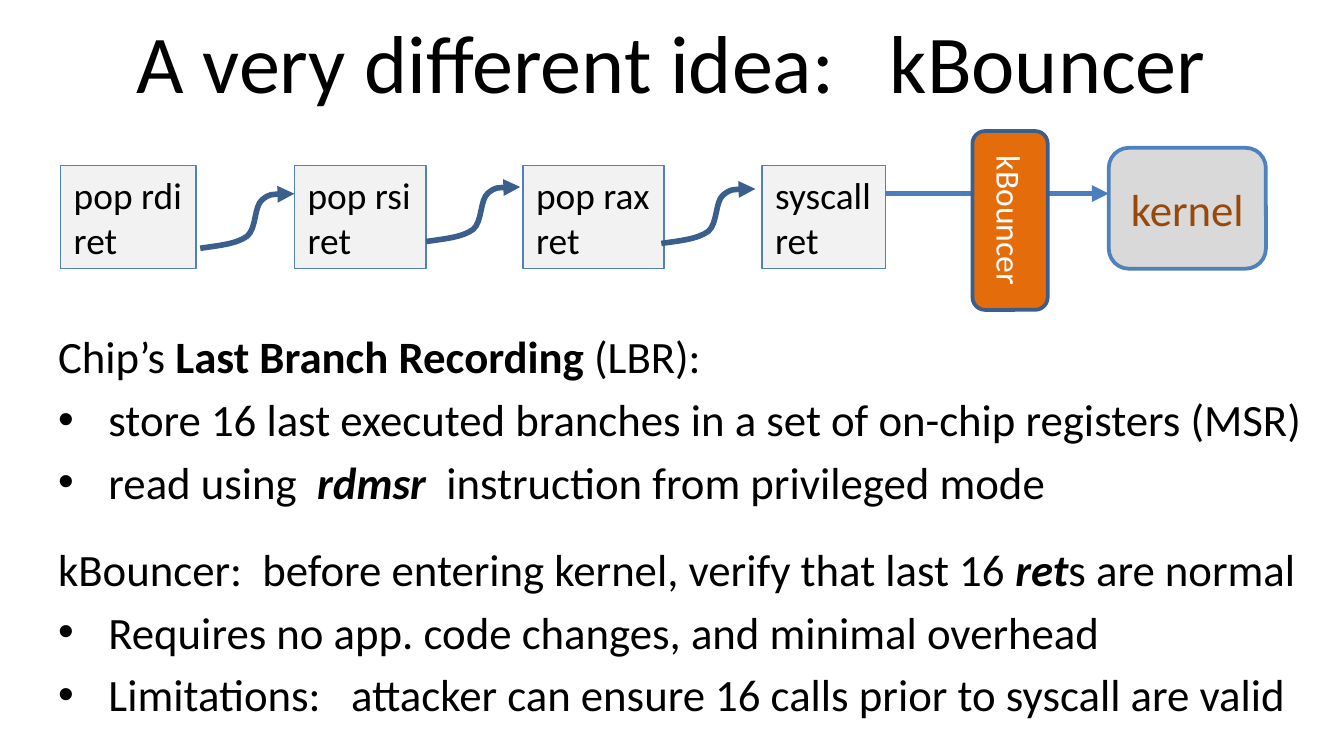
from dataclasses import dataclass

import lxml.etree
import pptx
import pptx.dml.color
import pptx.enum.shapes
import pptx.enum.text
import pptx.oxml
import pptx.oxml.ns
import pptx.util

Pt = pptx.util.Pt
qn = pptx.oxml.ns.qn
Kind = pptx.enum.shapes.MSO_SHAPE
Align = pptx.enum.text.PP_ALIGN
Anchor = pptx.enum.text.MSO_ANCHOR
Fit = pptx.enum.text.MSO_AUTO_SIZE

BLUE = "4F81BD"
NAVY = "3A5F8C"
CURVE = [
    (9.4, -1.4), (19.4, -2.2), (25.2, -6.5),
    (30.2, -10.8), (28.8, -22.3), (33.1, -25.9),
    (37.4, -29.5), (46, -29.4), (50.4, -29.2),
]


@dataclass
class Run:
    text: str
    bold: bool = False
    slant: bool = False


@dataclass
class Para:
    runs: list[Run]
    bullet: bool = False
    gap: float = 0


@dataclass
class Gadget:
    name: str
    left: float
    width: float


@dataclass
class Jump:
    left: float
    top: float


GADGETS = [
    Gadget("pop rdi", 32.4, 72.7),
    Gadget("pop rsi", 157.7, 70.6),
    Gadget("pop rax", 280.1, 75.6),
    Gadget("syscall", 408.2, 66.2),
]
JUMPS = [Jump(107.3, 133), Jump(228.3, 129.4), Jump(354.3, 130.4)]
BODY = [
    Para([Run("Chip’s "), Run("Last Branch Recording ", True), Run("(LBR):")]),
    Para([Run("store 16 last executed branches in a set of on-chip registers (MSR)")], True, 4.8),
    Para([Run("read using  "), Run("rdmsr ", True, True),
          Run(" instruction from privileged mode")], True, 4.8),
    Para([Run("kBouncer:  before entering kernel, verify that last 16 "),
          Run("ret", True, True), Run("s are normal")], False, 17.8),
    Para([Run("Requires no app. code changes, and minimal overhead")], True, 4.8),
    Para([Run("Limitations:   attacker can ensure 16 calls prior to syscall are valid")], True, 4.8),
]


def color(code: str) -> pptx.dml.color.RGBColor:
    return pptx.dml.color.RGBColor.from_string(code)


def write(shape, paras: list[Para], size: float, ink: str = "000000",
          align=Align.LEFT, anchor=Anchor.TOP, wrap: bool = True, fit=Fit.NONE) -> None:
    frame = shape.text_frame
    frame.word_wrap = wrap
    frame.auto_size = fit
    frame.vertical_anchor = anchor
    for i, para in enumerate(paras):
        line = frame.add_paragraph() if i else frame.paragraphs[0]
        line.alignment = align
        line.space_before = Pt(para.gap)
        if para.bullet:
            props = line._p.get_or_add_pPr()
            props.set("marL", str(Pt(27)))
            props.set("indent", str(Pt(-27)))
            lxml.etree.SubElement(props, qn("a:buFont")).set("typeface", "Arial")
            lxml.etree.SubElement(props, qn("a:buChar")).set("char", "•")
        for part in para.runs:
            run = line.add_run()
            run.text = part.text
            run.font.name = "Calibri"
            run.font.size = Pt(size)
            run.font.bold = part.bold
            run.font.italic = part.slant
            run.font.color.rgb = color(ink)


def block(slide, kind, left: float, top: float, width: float, height: float,
          fill: str, edge: str, weight: float):
    shape = slide.shapes.add_shape(kind, Pt(left), Pt(top), Pt(width), Pt(height))
    shape.shadow.inherit = False
    shape.fill.solid()
    shape.fill.fore_color.rgb = color(fill)
    shape.line.color.rgb = color(edge)
    shape.line.width = Pt(weight)
    return shape


def arrow(shape, ink: str) -> None:
    shape.line.color.rgb = color(ink)
    shape.line.width = Pt(3)
    line = shape.line._get_or_add_ln()
    lxml.etree.SubElement(line, qn("a:tailEnd")).set("type", "triangle")


def bend(slide, jump: Jump) -> None:
    maker = slide.shapes.build_freeform(Pt(jump.left), Pt(jump.top))
    maker.add_line_segments(
        [(Pt(jump.left + x), Pt(jump.top + y)) for x, y in CURVE], close=False)
    shape = maker.convert_to_shape()
    shape.shadow.inherit = False
    shape.fill.background()
    arrow(shape, NAVY)
    track = next(shape._element.iter(qn("a:path")))
    steps = track.findall(qn("a:lnTo"))
    for i in range(0, len(steps), 3):
        cubic = lxml.etree.SubElement(track, qn("a:cubicBezTo"))
        for step in steps[i:i + 3]:
            cubic.append(step[0])
            track.remove(step)


def main() -> None:
    deck = pptx.Presentation()
    deck.slide_width, deck.slide_height = Pt(720), Pt(405)
    slide = deck.slides.add_slide(deck.slide_layouts[5])

    title = slide.shapes.title
    title.left, title.top, title.width, title.height = Pt(36), Pt(-1.4), Pt(648), Pt(67.7)
    write(title, [Para([Run("A very different idea:   kBouncer")])], 44,
          align=Align.CENTER, anchor=Anchor.MIDDLE)

    body = slide.shapes.add_textbox(Pt(24), Pt(172.8), Pt(696), Pt(221.8))
    write(body, BODY, 24)

    for item in GADGETS:
        box = block(slide, Kind.RECTANGLE, item.left, 88.6, item.width, 55.4,
                    "F2F2F2", BLUE, 0.75)
        write(box, [Para([Run(item.name)]), Para([Run("ret")])], 20,
              wrap=False, fit=Fit.SHAPE_TO_FIT_TEXT)

    for jump in JUMPS:
        bend(slide, jump)

    call = slide.shapes.add_connector(
        pptx.enum.shapes.MSO_CONNECTOR.STRAIGHT, Pt(474.4), Pt(103.7), Pt(594), Pt(103.7))
    arrow(call, "4B7EBC")
    lxml.etree.SubElement(call._element.spPr, qn("a:effectLst"))

    kernel = block(slide, Kind.ROUNDED_RECTANGLE, 594, 79.2, 84.2, 64.8, "D9D9D9", BLUE, 2)
    write(kernel, [Para([Run("kernel")])], 24, "984807", Align.CENTER, Anchor.MIDDLE)

    guard = block(slide, Kind.ROUNDED_RECTANGLE, 493.2, 98, 95.8, 40.3, "E46C0A", NAVY, 2)
    guard.rotation = 90
    write(guard, [Para([Run("kBouncer")])], 18, "FFFFFF", Align.CENTER, Anchor.MIDDLE)

    deck.save("out.pptx")


if __name__ == "__main__":
    main()
